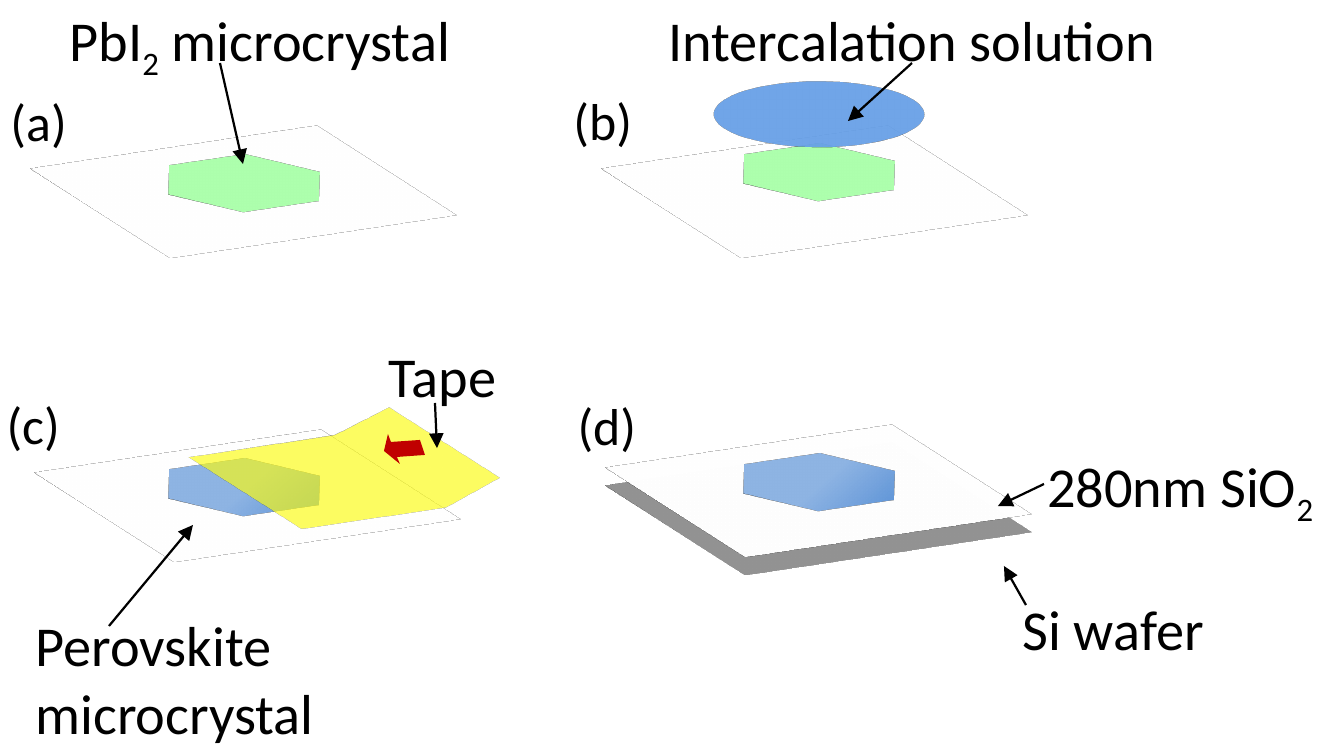
from lxml import etree
from pptx import Presentation
from pptx.dml.color import RGBColor
from pptx.enum.shapes import MSO_CONNECTOR, MSO_SHAPE
from pptx.oxml.ns import qn
from pptx.util import Emu, Pt

SQUARE = MSO_SHAPE.RECTANGLE
HEXAGON = MSO_SHAPE.HEXAGON
OVAL = MSO_SHAPE.OVAL
STRAIGHT = MSO_CONNECTOR.STRAIGHT
EMU_PER_PX = 8572.5
FONT = "Calibri"

TAPE = [(220, 368), (383, 367), (471, 310), (471, 562), (380, 626), (220, 625)]
PEEL_ARROW = [(384, 451), (388, 434), (391, 442), (420, 440), (425, 455), (397, 457), (400, 464)]
SHEET_SIZE = 319
CRYSTAL_SIZE = 168
DROP_SIZE = 210

SHEET_LOOK = {"fill": "F2F2F2", "edge": "D9D9D9"}
WAFER_LOOK = {"fill": "808080", "edge": "595959"}
IODIDE_LOOK = {"fill": "99FF99", "edge": "33CC33"}
PEROVSKITE_LOOK = {"fill": ("8EB4E3", "558ED5"), "edge": "558ED5"}
DROP_LOOK = {"fill": "558ED5", "edge": "8EB4E3", "opacity": 50, "edge_opacity": 50}


def px(length):
    return Emu(round(length * EMU_PER_PX))


def color(value):
    return RGBColor.from_string(value)


def fade(parent, opacity):
    if opacity < 100:
        tint = parent.find(qn("a:solidFill"))[0]
        etree.SubElement(tint, qn("a:alpha"), val=str(opacity * 1000))


def paint(shape, fill, edge=None, opacity=100, edge_opacity=100):
    shape.shadow.inherit = False
    if isinstance(fill, tuple):
        shape.fill.gradient()
        shape.fill.gradient_angle = 315
        for stop, value, position in zip(shape.fill.gradient_stops, fill, (0.51, 1)):
            stop.color.rgb = color(value)
            stop.position = position
    else:
        shape.fill.solid()
        shape.fill.fore_color.rgb = color(fill)
        fade(shape._element.spPr, opacity)
    if edge:
        shape.line.color.rgb = color(edge)
        shape.line.width = Pt(2)
        fade(shape.line._get_or_add_ln(), edge_opacity)
    else:
        shape.line.fill.background()


def lay_flat(shape):
    scene = etree.SubElement(shape._element.spPr, qn("a:scene3d"))
    etree.SubElement(scene, qn("a:camera"), prst="isometricOffAxis1Top")
    etree.SubElement(scene, qn("a:lightRig"), rig="threePt", dir="t")


def add_layer(page, kind, left, top, size, look):
    layer = page.shapes.add_shape(kind, px(left), px(top), px(size), px(size))
    paint(layer, **look)
    lay_flat(layer)


def add_outline(page, points, **look):
    builder = page.shapes.build_freeform(*points[0], scale=EMU_PER_PX)
    builder.add_line_segments(points[1:], close=True)
    outline = builder.convert_to_shape()
    paint(outline, **look)
    return outline


def add_text(page, left, top, width, height, text, subscript="", ending="", size=38):
    box = page.shapes.add_textbox(px(left), px(top), px(width), px(height))
    box.text_frame.word_wrap = True
    para = box.text_frame.paragraphs[0]
    for part, baseline in ((text, 0), (subscript, -25000), (ending, 0)):
        if not part:
            continue
        span = para.add_run()
        span.text = part
        span.font.name = FONT
        span.font.size = Pt(size)
        span.font.color.rgb = color("000000")
        if baseline:
            span._r.get_or_add_rPr().set("baseline", str(baseline))


def add_arrow(page, start, end):
    arrow = page.shapes.add_connector(STRAIGHT, *map(px, start + end))
    arrow.line.color.rgb = color("000000")
    arrow.line.width = Pt(1.5)
    line = arrow.line._get_or_add_ln()
    etree.SubElement(line, qn("a:tailEnd"), type="triangle", w="lg", len="lg")
    etree.SubElement(arrow._element.spPr, qn("a:effectLst"))


def main():
    deck = Presentation()
    deck.slide_width, deck.slide_height = px(1344), px(756)
    page = deck.slides.add_slide(deck.slide_layouts[6])

    for kind, left, top, size, look in (
        (SQUARE, 84, 32, SHEET_SIZE, SHEET_LOOK),
        (HEXAGON, 160, 99, CRYSTAL_SIZE, IODIDE_LOOK),
        (SQUARE, 655, 32, SHEET_SIZE, SHEET_LOOK),
        (HEXAGON, 735, 88, CRYSTAL_SIZE, IODIDE_LOOK),
        (OVAL, 714, 9, DROP_SIZE, DROP_LOOK),
        (SQUARE, 88, 336, SHEET_SIZE, SHEET_LOOK),
        (HEXAGON, 160, 403, CRYSTAL_SIZE, PEROVSKITE_LOOK),
        (SQUARE, 659, 349, SHEET_SIZE, WAFER_LOOK),
        (SQUARE, 659, 331, SHEET_SIZE, SHEET_LOOK),
        (HEXAGON, 735, 398, CRYSTAL_SIZE, PEROVSKITE_LOOK),
    ):
        add_layer(page, kind, left, top, size, look)
    lay_flat(add_outline(page, TAPE, fill="FFFF00", edge="000000", opacity=24))
    add_outline(page, PEEL_ARROW, fill="C00000")

    for text, left, top in (("(a)", 0, 84), ("(b)", 563, 83), ("(c)", -4, 387), ("(d)", 567, 388)):
        add_text(page, left, top, 93, 74, text, size=35)

    add_text(page, 59, 0, 433, 79, "PbI", "2", " microcrystal")
    add_text(page, 658, 0, 545, 79, "Intercalation solution")
    add_text(page, 25, 605, 362, 147, "Perovskite microcrystal")
    add_text(page, 1037, 446, 340, 79, "280nm SiO", "2")
    add_text(page, 1012, 589, 340, 79, "Si wafer")
    add_text(page, 378, 336, 129, 79, "Tape")

    for start, end in (
        ((220, 63), (243, 164)),
        ((912, 63), (848, 121)),
        ((109, 626), (193, 525)),
        ((435, 403), (437, 448)),
        ((1044, 484), (998, 506)),
        ((1026, 605), (1004, 566)),
    ):
        add_arrow(page, start, end)

    deck.save("out.pptx")


if __name__ == "__main__":
    main()
